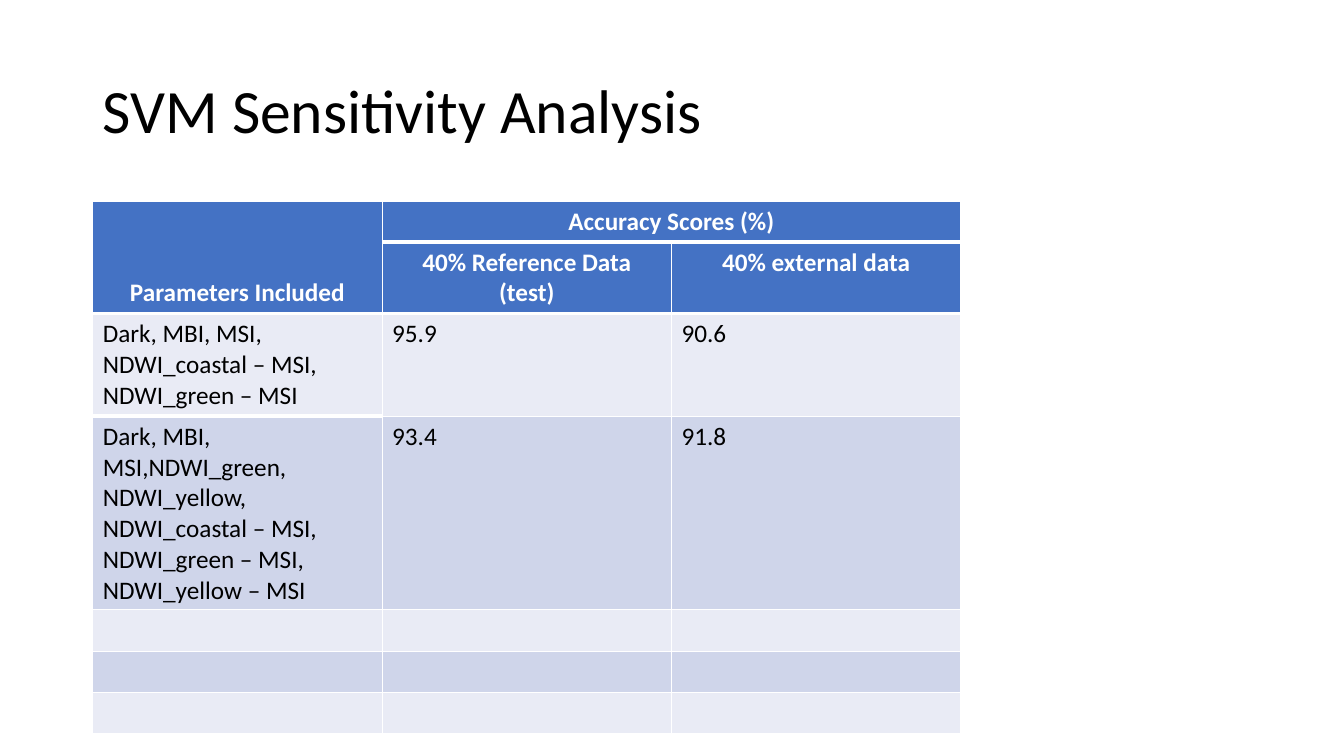
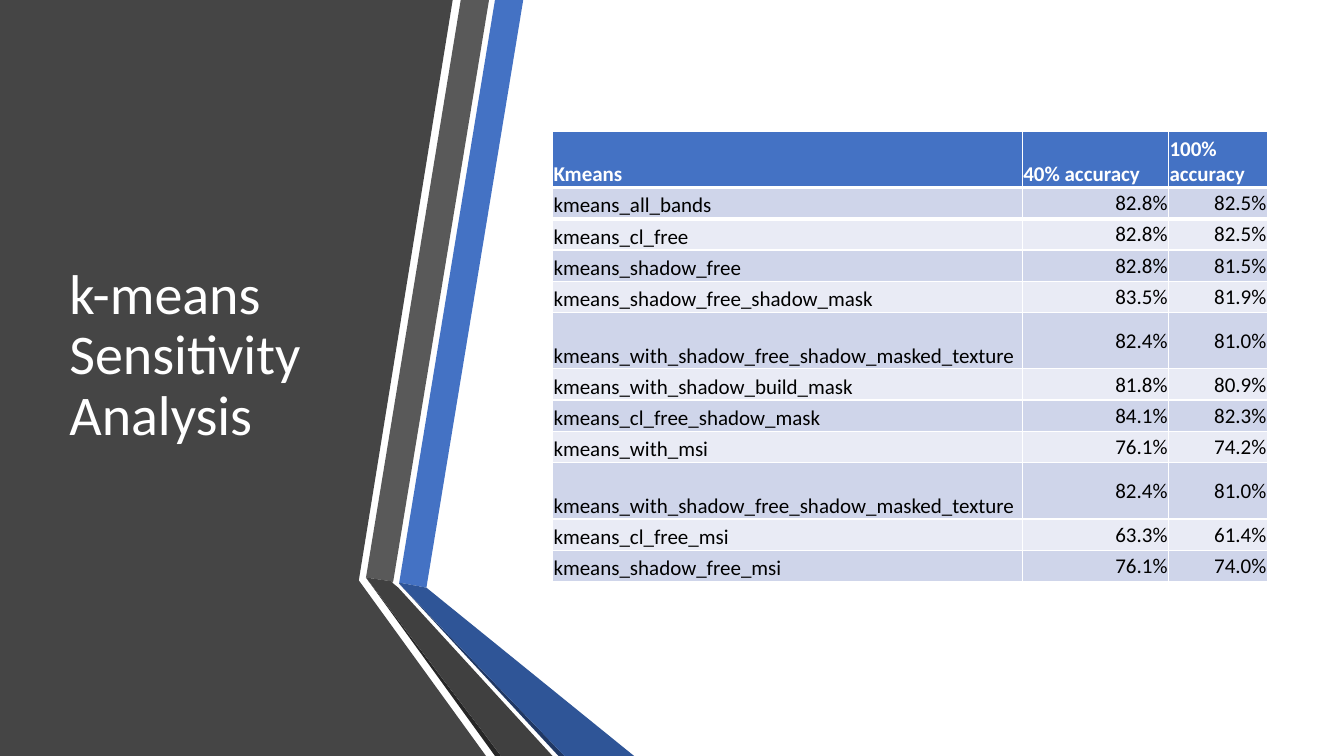
from typing import NamedTuple, Optional

from lxml.etree import SubElement
from pptx import Presentation
from pptx.dml.color import RGBColor
from pptx.enum.text import MSO_ANCHOR, PP_ALIGN
from pptx.oxml.ns import qn
from pptx.util import Pt

PX = 9144
FONT = "Calibri"
WHITE = RGBColor(0xFF, 0xFF, 0xFF)
BLACK = RGBColor(0x00, 0x00, 0x00)
BLUE = RGBColor(0x44, 0x72, 0xC4)
BLUE_SHADE = RGBColor(0x2F, 0x55, 0x97)
NAVY = RGBColor(0x20, 0x38, 0x64)
BAND_LIGHT = RGBColor(0xE9, 0xEB, 0xF5)
BAND_DARK = RGBColor(0xCF, 0xD5, 0xEA)
PANEL = RGBColor(0x45, 0x45, 0x45)
GRAY = RGBColor(0x59, 0x59, 0x59)
GRAY_SHADE = RGBColor(0x40, 0x40, 0x40)
GRAY_EDGE = RGBColor(0x26, 0x26, 0x26)


class Box(NamedTuple):
    x: int
    y: int
    w: int
    h: int

    def emu(self) -> list[int]:
        return [v * PX for v in self]


class Outline(NamedTuple):
    color: RGBColor
    points: list[tuple[int, int]]


class TableStyle(NamedTuple):
    size: int
    header_rows: int
    header_align: PP_ALIGN
    label_anchor: MSO_ANCHOR
    value_anchor: MSO_ANCHOR
    value_align: PP_ALIGN
    insets: tuple[int, int, int, int]


SIDE_PANEL = Outline(PANEL, [
    (0, 0), (353, 0), (449, 0), (356, 575), (356, 576), (482, 750), (0, 750)])
RIBBONS = [
    Outline(BLUE, [(396, 578), (423, 583), (519, 0), (491, 0)]),
    Outline(GRAY, [(485, 0), (457, 0), (363, 573), (390, 577)]),
    Outline(GRAY_EDGE, [(363, 573), (491, 750), (497, 750)]),
    Outline(NAVY, [(396, 579), (554, 750), (560, 750)]),
    Outline(BLUE_SHADE, [(396, 579), (560, 750), (629, 750), (423, 583), (396, 578)]),
    Outline(GRAY_SHADE, [
        (548, 750), (395, 583), (389, 578), (390, 577), (363, 573), (497, 750)]),
]

SVM_STYLE = TableStyle(18, 2, PP_ALIGN.CENTER, MSO_ANCHOR.TOP, MSO_ANCHOR.TOP,
                       PP_ALIGN.LEFT, (10, 5, 10, 5))
SVM_ROWS = [
    ("Parameters Included", "Accuracy Scores (%)", ""),
    ("", "40% Reference Data (test)", "40% external data"),
    ("Dark, MBI, MSI, NDWI_coastal – MSI, NDWI_green – MSI", "95.9", "90.6"),
    ("Dark, MBI, MSI,NDWI_green, NDWI_yellow, NDWI_coastal – MSI, "
     "NDWI_green – MSI, NDWI_yellow – MSI", "93.4", "91.8"),
] + [("", "", "")] * 3
SVM_HEIGHTS = [40, 71, 102, 192] + [41] * 3

KMEANS_STYLE = TableStyle(15, 1, PP_ALIGN.LEFT, MSO_ANCHOR.BOTTOM, MSO_ANCHOR.MIDDLE,
                          PP_ALIGN.RIGHT, (1, 1, 1, 0))
KMEANS_ROWS = [
    ("Kmeans", "40% accuracy", "100% accuracy"),
    ("kmeans_all_bands", "82.8%", "82.5%"),
    ("kmeans_cl_free", "82.8%", "82.5%"),
    ("kmeans_shadow_free", "82.8%", "81.5%"),
    ("kmeans_shadow_free_shadow_mask", "83.5%", "81.9%"),
    ("kmeans_with_shadow_free_shadow_masked_texture", "82.4%", "81.0%"),
    ("kmeans_with_shadow_build_mask", "81.8%", "80.9%"),
    ("kmeans_cl_free_shadow_mask", "84.1%", "82.3%"),
    ("kmeans_with_msi", "76.1%", "74.2%"),
    ("kmeans_with_shadow_free_shadow_masked_texture", "82.4%", "81.0%"),
    ("kmeans_cl_free_msi", "63.3%", "61.4%"),
    ("kmeans_shadow_free_msi", "76.1%", "74.0%"),
]
KMEANS_TALL_ROWS = (0, 5, 9)


def write(tf, text: str, *, size: int, color: RGBColor, bold: bool = False,
          align: PP_ALIGN = PP_ALIGN.LEFT, spacing: Optional[float] = None) -> None:
    p = tf.paragraphs[0]
    p.alignment = align
    if spacing:
        p.line_spacing = spacing
    r = p.add_run()
    r.text = text
    r.font.name = FONT
    r.font.size = Pt(size)
    r.font.bold = bold
    r.font.color.rgb = color


def add_title(s, box: Box, text: str, size: int, color: RGBColor) -> None:
    tf = s.shapes.add_textbox(*box.emu()).text_frame
    tf.word_wrap = True
    tf.vertical_anchor = MSO_ANCHOR.MIDDLE
    write(tf, text, size=size, color=color, spacing=0.9)


def add_outline(shapes, outline: Outline) -> None:
    start, *rest = outline.points
    builder = shapes.build_freeform(*start, scale=PX)
    builder.add_line_segments(rest, close=True)
    sp = builder.convert_to_shape()
    sp.shadow.inherit = False
    sp.fill.solid()
    sp.fill.fore_color.rgb = outline.color
    sp.line.fill.background()


def rule_between(upper, lower) -> None:
    for cell, tag in ((upper, "a:lnB"), (lower, "a:lnT")):
        props = cell._tc.get_or_add_tcPr()
        line = SubElement(props, qn(tag), w=str(Pt(3)))
        fill = SubElement(line, qn("a:solidFill"))
        SubElement(fill, qn("a:srgbClr"), val=str(WHITE))
        borders = [e for e in props if e.tag in (qn("a:lnT"), qn("a:lnB"))]
        props.insert(len(borders) - 1, line)


def add_grid(s, x: int, y: int, widths: list[int], heights: list[int],
             rows: list[tuple[str, str, str]], style: TableStyle):
    box = Box(x, y, sum(widths), sum(heights))
    table = s.shapes.add_table(len(rows), len(widths), *box.emu()).table
    for column, width in zip(table.columns, widths):
        column.width = width * PX
    for i, (row, height, texts) in enumerate(zip(table.rows, heights, rows)):
        row.height = height * PX
        header = i < style.header_rows
        for j, (cell, text) in enumerate(zip(row.cells, texts)):
            cell.fill.solid()
            cell.fill.fore_color.rgb = BLUE if header else (BAND_DARK if i % 2 else BAND_LIGHT)
            (cell.margin_left, cell.margin_top,
             cell.margin_right, cell.margin_bottom) = [v * PX for v in style.insets]
            label = header or j == 0
            cell.vertical_anchor = style.label_anchor if label else style.value_anchor
            align = style.header_align if header else (
                style.value_align if j else PP_ALIGN.LEFT)
            if text:
                write(cell.text_frame, text, size=style.size, bold=header,
                      color=WHITE if header else BLACK, align=align)
    for j in range(len(widths)):
        rule_between(table.cell(0, j), table.cell(1, j))
    return table


def build_svm(s) -> None:
    add_title(s, Box(92, 40, 1150, 145), "SVM Sensitivity Analysis", 44, BLACK)
    table = add_grid(s, 92, 200, [287] * 3, SVM_HEIGHTS, SVM_ROWS, SVM_STYLE)
    rule_between(table.cell(1, 0), table.cell(2, 0))
    table.cell(0, 0).merge(table.cell(1, 0))
    table.cell(0, 1).merge(table.cell(0, 2))
    table.cell(0, 0).vertical_anchor = MSO_ANCHOR.BOTTOM


def build_kmeans(s) -> None:
    add_outline(s.shapes, SIDE_PANEL)
    ribbons = s.shapes.add_group_shape()
    for ribbon in RIBBONS:
        add_outline(ribbons.shapes, ribbon)
    add_title(s, Box(59, 75, 304, 558), "k-means Sensitivity Analysis", 40, WHITE)
    heights = [56 if i in KMEANS_TALL_ROWS else 31 for i in range(len(KMEANS_ROWS))]
    add_grid(s, 548, 130, [466, 145, 98], heights, KMEANS_ROWS, KMEANS_STYLE)


def main() -> None:
    prs = Presentation()
    prs.slide_width, prs.slide_height = 1333 * PX, 750 * PX
    for build in (build_svm, build_kmeans):
        build(prs.slides.add_slide(prs.slide_layouts[6]))
    prs.save("out.pptx")


if __name__ == "__main__":
    main()
